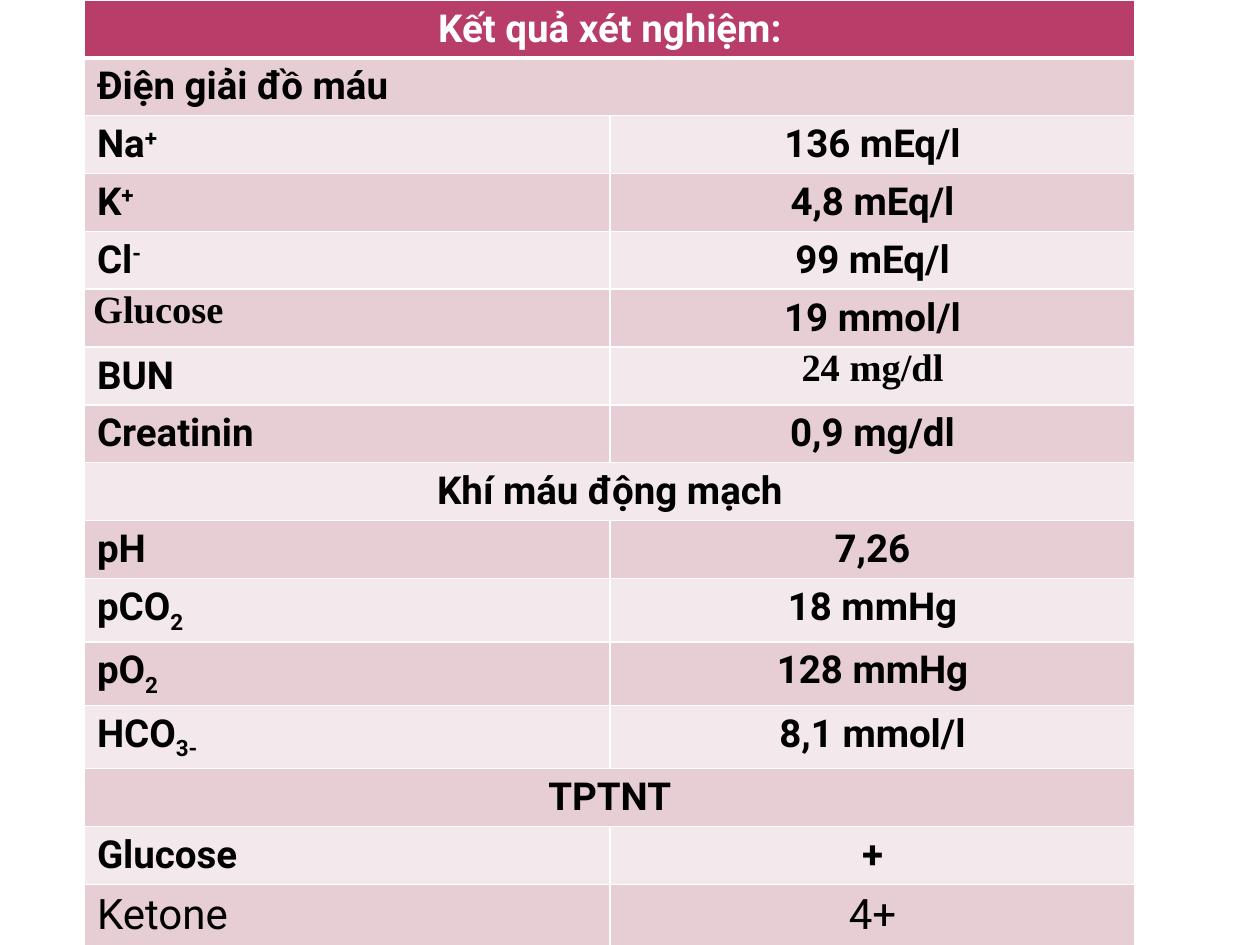
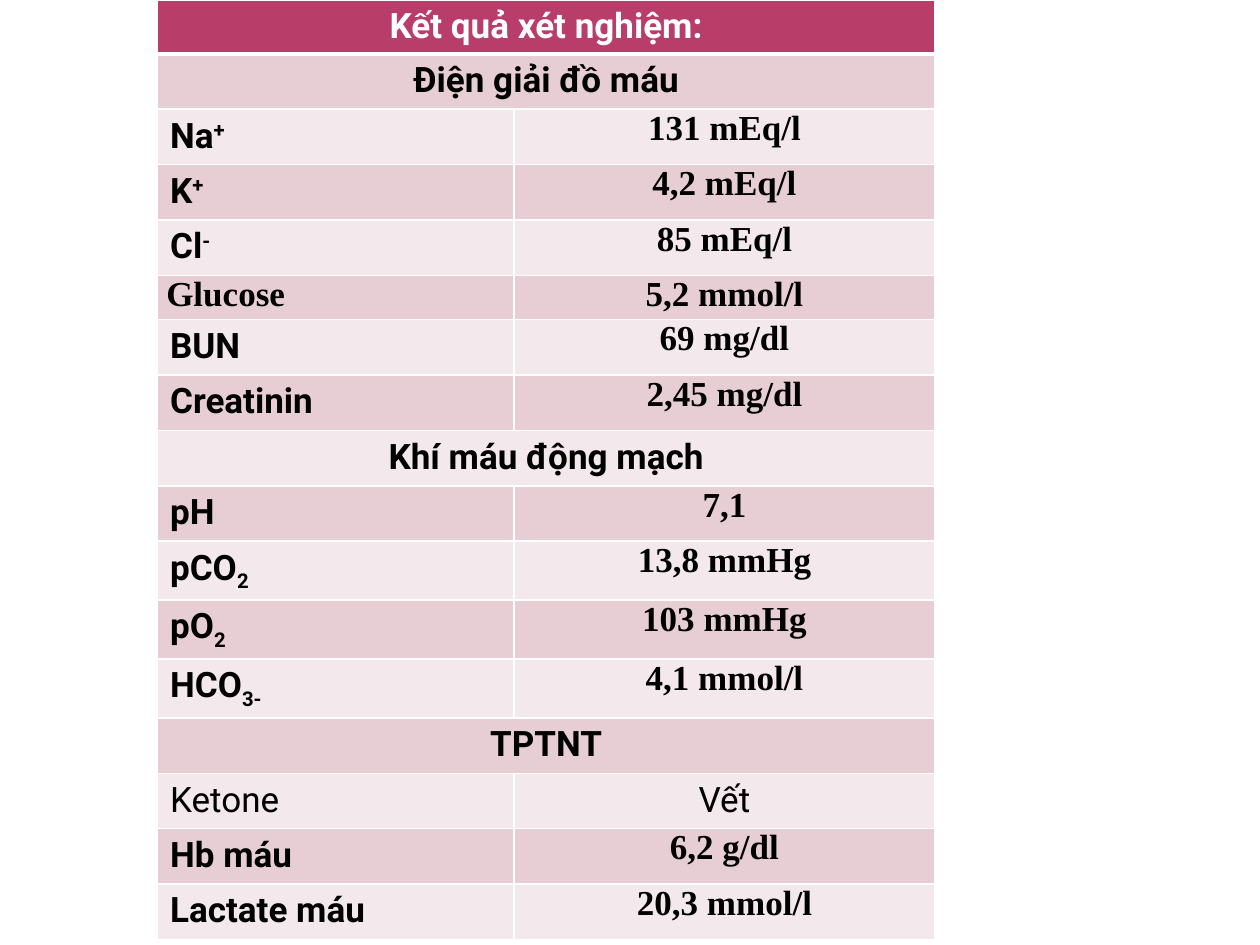
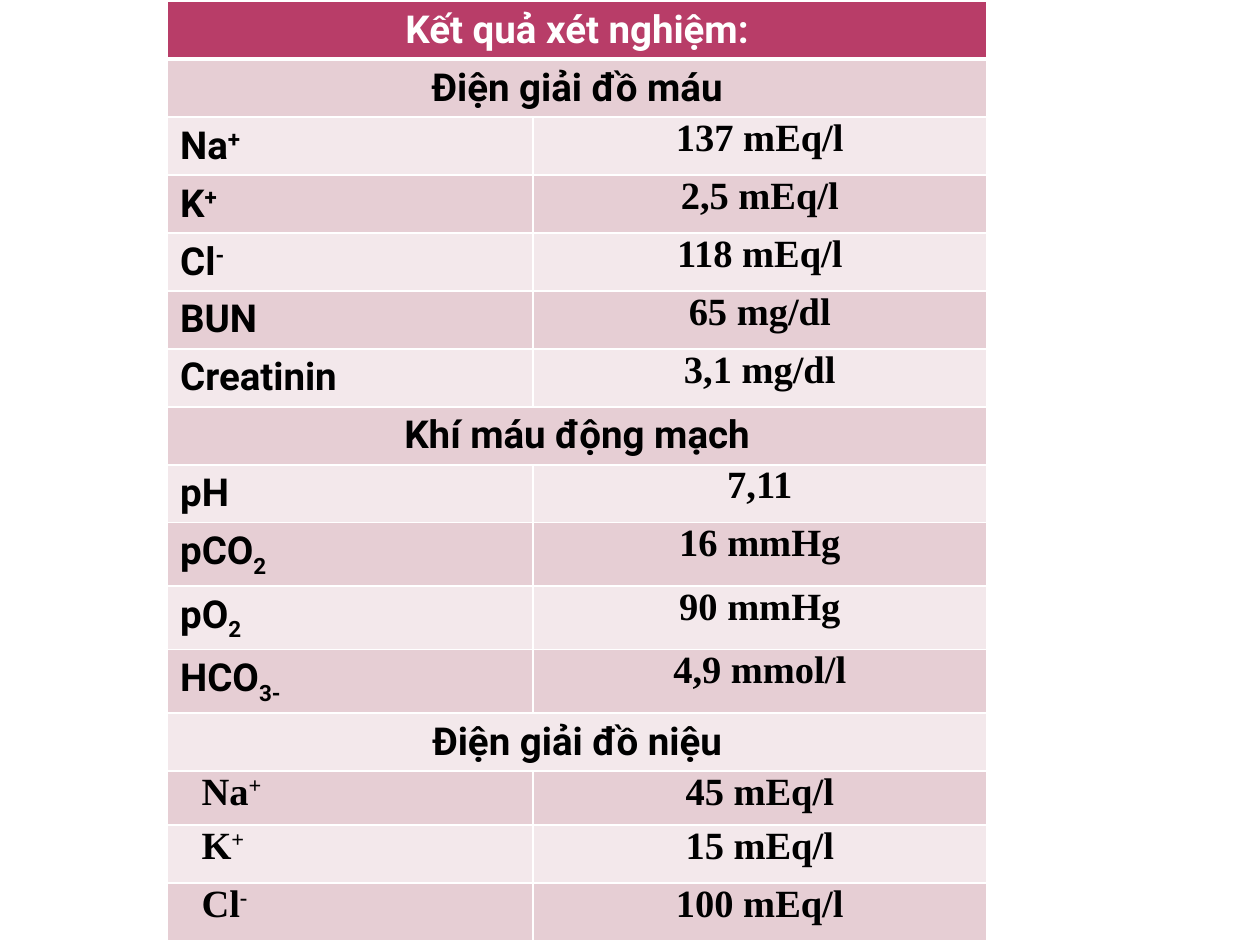
from dataclasses import dataclass

from lxml.etree import SubElement
from pptx import Presentation
from pptx.dml.color import RGBColor
from pptx.enum.text import PP_ALIGN as Align
from pptx.oxml.ns import qn
from pptx.util import Inches, Pt


@dataclass(frozen=True)
class Theme:
    header: str = "B83D68"
    dark_band: str = "E6CED4"
    light_band: str = "F3E8EB"
    rule: str = "FFFFFF"
    header_text: str = "FFFFFF"
    body_text: str = "000000"
    sans: str = "Roboto"
    serif: str = "Times New Roman"
    thin: float = 1
    thick: float = 3
    large: int = 24
    medium: int = 22
    small: int = 20


theme = Theme()

# Leading marks: "~" serif, ">" serif and indented, "*" regular weight,
# "<" heading at the left. Inside a text, "^" raises and "_" lowers the rest.
MARKS = "~>*<"
BASELINES = {"^": "30000", "_": "-25000"}
TITLE = "Kết quả xét nghiệm:"
BLOOD = "Điện giải đồ máu"
GASES = "Khí máu động mạch"

# Rows are (label, value); a row without a value is a heading
slides = [
    dict(left=0.67, top=0, columns=(4.17, 4.17), row_height=0.45, heights={},
         size=theme.medium, regular_size=theme.large, rows=[
             (TITLE, None),
             ("<" + BLOOD, None),
             ("Na^+", "136 mEq/l"),
             ("K^+", "4,8 mEq/l"),
             ("Cl^-", "99 mEq/l"),
             ("~Glucose", "19 mmol/l"),
             ("BUN", "~24 mg/dl"),
             ("Creatinin", "0,9 mg/dl"),
             (GASES, None),
             ("pH", "7,26"),
             ("pCO_2", "18 mmHg"),
             ("pO_2", "128 mmHg"),
             ("HCO_3-", "8,1 mmol/l"),
             ("TPTNT", None),
             ("Glucose", "+"),
             ("*Ketone", "*4+"),
         ]),
    dict(left=1.25, top=0, columns=(2.83, 3.34), row_height=0.44,
         heights={0: 0.13, 5: 0.35},
         size=theme.small, regular_size=theme.small, rows=[
             (TITLE, None),
             (BLOOD, None),
             ("Na^+", "~131 mEq/l"),
             ("K^+", "~4,2 mEq/l"),
             ("Cl^-", "~85 mEq/l"),
             ("~Glucose", "~5,2 mmol/l"),
             ("BUN", "~69 mg/dl"),
             ("Creatinin", "~2,45 mg/dl"),
             (GASES, None),
             ("pH", "~7,1"),
             ("pCO_2", "~13,8 mmHg"),
             ("pO_2", "~103 mmHg"),
             ("HCO_3-", "~4,1 mmol/l"),
             ("TPTNT", None),
             ("*Ketone", "*Vết"),
             ("Hb máu", "~6,2 g/dl"),
             ("Lactate máu", "~20,3 mmol/l"),
         ]),
    dict(left=1.33, top=0.01, columns=(2.9, 3.6), row_height=0.46,
         heights={13: 0.43},
         size=theme.medium, regular_size=theme.medium, rows=[
             (TITLE, None),
             (BLOOD, None),
             ("Na^+", "~137 mEq/l"),
             ("K^+", "~2,5 mEq/l"),
             ("Cl^-", "~118 mEq/l"),
             ("BUN", "~65 mg/dl"),
             ("Creatinin", "~3,1 mg/dl"),
             (GASES, None),
             ("pH", "~7,11"),
             ("pCO_2", "~16 mmHg"),
             ("pO_2", "~90 mmHg"),
             ("HCO_3-", "~4,9 mmol/l"),
             ("Điện giải đồ niệu", None),
             (">Na^+", "~45 mEq/l"),
             (">K^+", "~15 mEq/l"),
             (">Cl^-", "~100 mEq/l"),
         ]),
]


def paint_cell(cell, fill, bottom_width):
    """Draw the cell's four borders, then its fill."""
    properties = cell._tc.get_or_add_tcPr()
    for side in ("lnL", "lnR", "lnT", "lnB"):
        width = bottom_width if side == "lnB" else theme.thin
        line = SubElement(properties, qn("a:" + side), w=str(Pt(width)))
        solid = SubElement(line, qn("a:solidFill"))
        SubElement(solid, qn("a:srgbClr"), val=theme.rule)
    cell.fill.solid()
    cell.fill.fore_color.rgb = RGBColor.from_string(fill)


def write_cell(cell, text, align, color, size, regular_size):
    """Write one marked text into a cell."""
    mark = text[0] if text[0] in MARKS else ""
    text = text[len(mark):]
    serif = mark in ("~", ">")
    regular = mark == "*"
    if serif:
        margins = dict(margin_left=0.07, margin_right=0.07,
                       margin_top=0, margin_bottom=0)
        for name, value in margins.items():
            setattr(cell, name, Inches(value))
    para = cell.text_frame.paragraphs[0]
    para.alignment = Align.LEFT if mark == "<" else align
    if mark == ">":
        para._p.get_or_add_pPr().set("marL", str(Inches(0.2)))

    # The plain part, then the raised or lowered part
    shift = next((sign for sign in BASELINES if sign in text), None)
    parts = text.split(shift) if shift else [text]
    font_format = dict(name=theme.serif if serif else theme.sans,
                       size=Pt(regular_size if regular else size),
                       bold=not regular)
    for index, part in enumerate(parts):
        span = para.add_run()
        span.text = part
        for name, value in font_format.items():
            setattr(span.font, name, value)
        span.font.color.rgb = RGBColor.from_string(color)
        if index:
            span._r.get_or_add_rPr().set("baseline", BASELINES[shift])


deck = Presentation()
deck.slide_width, deck.slide_height = Inches(10), Inches(7.5)

for content in slides:
    page = deck.slides.add_slide(deck.slide_layouts[6])
    rows = content["rows"]
    heights = [content["heights"].get(index, content["row_height"])
               for index in range(len(rows))]

    # Table frame and grid
    table = page.shapes.add_table(
        len(rows), 2, Inches(content["left"]), Inches(content["top"]),
        Inches(sum(content["columns"])), Inches(sum(heights))).table
    table.horz_banding = False
    for column, width in zip(table.columns, content["columns"]):
        column.width = Inches(width)

    # Header, headings and results, in alternating bands
    for index, (label, value) in enumerate(rows):
        table.rows[index].height = Inches(heights[index])
        is_header = index == 0
        band = theme.dark_band if index % 2 else theme.light_band
        cells = [table.cell(index, column) for column in range(2)]
        for cell in cells:
            paint_cell(cell, theme.header if is_header else band,
                       theme.thick if is_header else theme.thin)
        color = theme.header_text if is_header else theme.body_text
        sizes = content["size"], content["regular_size"]
        if value is None:
            cells[0].merge(cells[1])
            write_cell(cells[0], label, Align.CENTER, color, *sizes)
        else:
            write_cell(cells[0], label, Align.LEFT, color, *sizes)
            write_cell(cells[1], value, Align.CENTER, color, *sizes)

deck.save("out.pptx")
